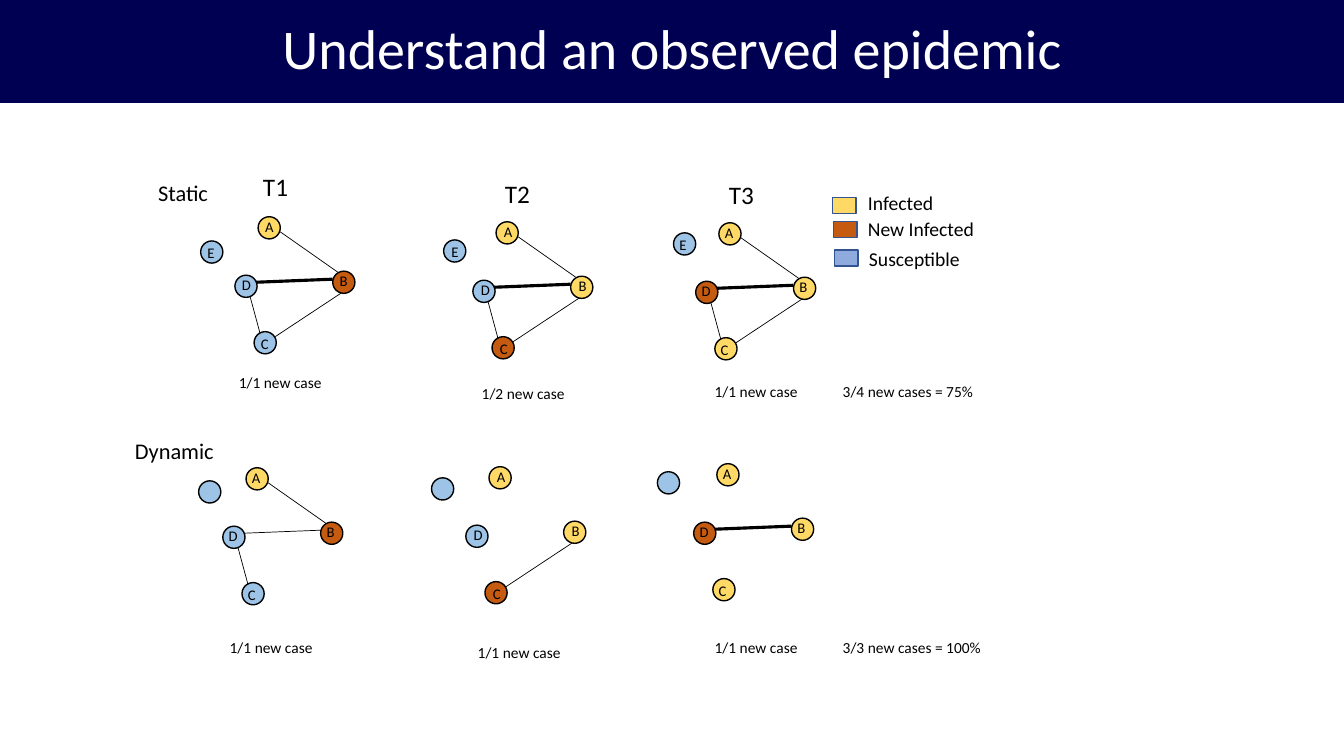
"""Build a slide comparing epidemic spread on static and dynamic networks."""
from lxml.etree import SubElement
from pptx import Presentation
from pptx.dml.color import RGBColor
from pptx.enum.shapes import MSO_CONNECTOR, MSO_SHAPE
from pptx.enum.text import MSO_ANCHOR, MSO_AUTO_SIZE, PP_ALIGN
from pptx.oxml.ns import qn
from pptx.util import Inches, Pt

FONT = "Calibri"
BLACK = RGBColor(0x00, 0x00, 0x00)
WHITE = RGBColor(0xFF, 0xFF, 0xFF)
NAVY = RGBColor(0x00, 0x00, 0x53)
INFECTED = RGBColor(0xFF, 0xD9, 0x66)
NEW_INFECTED = RGBColor(0xC5, 0x5A, 0x11)
SUSCEPTIBLE = RGBColor(0x9D, 0xC3, 0xE6)
LEGEND_BLUE = RGBColor(0x8F, 0xAA, 0xDC)
LEGEND_LINE = RGBColor(0x32, 0x54, 0x91)

NODE_SIZE = 0.22
NODE_OFFSETS = {"D": (0, 0), "A": (0.23, -0.58), "C": (0.19, 0.56), "B": (0.97, -0.04)}
LABEL_DROPS = {"A": -0.04, "B": -0.04, "C": -0.02, "D": -0.04, "E": -0.02}
EDGE_OFFSETS = {
    "BD": (0.97, 0.04, 0.21, 0.07),
    "AB": (0.45, -0.43, 1.02, -0.03),
    "BC": (1.05, 0.18, 0.4, 0.61),
    "CD": (0.25, 0.58, 0.15, 0.21),
}
THIN, THICK = 0.5, 2.25
STATIC_EDGES = {"BD": THICK, "AB": THIN, "BC": THIN, "CD": THIN}

# Each network: D position, E position, label shift, infected, newly infected, edges, E label
NETWORKS = [
    ((2.33, 2.73), (1.99, 2.39), -0.03, "A", "B", STATIC_EDGES, "E"),
    ((4.69, 2.78), (4.4, 2.38), -0.02, "AB", "C", STATIC_EDGES, "E"),
    ((6.9, 2.79), (6.68, 2.31), -0.04, "ABC", "D", STATIC_EDGES, "E"),
    ((2.21, 5.22), (1.97, 4.77), -0.04, "A", "B", {"BD": THIN, "AB": THIN, "CD": THIN}, ""),
    ((4.62, 5.21), (4.28, 4.74), -0.02, "AB", "C", {"BC": THIN}, ""),
    ((6.88, 5.18), (6.52, 4.68), -0.04, "ABC", "D", {"BD": THICK}, ""),
]
CAPTIONS = [
    ("Static", 1.47, 1.73, 0.7, 16),
    ("Dynamic", 1.24, 4.29, 0.99, 16),
    ("T1", 2.51, 1.65, 0.45, 18),
    ("T2", 4.91, 1.72, 0.45, 18),
    ("T3", 7.13, 1.73, 0.45, 18),
    ("1/1 new case", 2.27, 3.65, 1.03, 11),
    ("1/2 new case", 4.68, 3.76, 1.03, 11),
    ("1/1 new case", 6.99, 3.74, 1.03, 11),
    ("3/4 new cases = 75%", 8.26, 3.74, 1.51, 11),
    ("1/1 new case", 2.18, 6.28, 1.03, 11),
    ("1/1 new case", 4.64, 6.33, 1.03, 11),
    ("1/1 new case", 6.99, 6.28, 1.03, 11),
    ("3/3 new cases = 100%", 8.26, 6.28, 1.59, 11),
]
LEGEND = [
    ("Infected", INFECTED, (8.26, 1.96), (8.51, 1.84), 0.85),
    ("New Infected", NEW_INFECTED, (8.27, 2.2), (8.51, 2.1), 1.26),
    ("Susceptible", LEGEND_BLUE, (8.28, 2.48), (8.52, 2.4), 1.11),
]
TEXT_HEIGHTS = {10.5: 0.29, 11: 0.29, 14: 0.34, 16: 0.37, 18: 0.4}


def style_text(para, size, color):
    """Set the font of a paragraph."""
    para.font.name = FONT
    para.font.size = Pt(size)
    para.font.color.rgb = color


def add_title(page, text):
    """Fill the title placeholder as a full-width banner."""
    title = page.shapes.title
    title.left, title.top = Inches(0), Inches(-0.01)
    title.width, title.height = Inches(13.33), Inches(1.03)
    title.fill.solid()
    title.fill.fore_color.rgb = NAVY
    frame = title.text_frame
    frame.text = text
    frame.vertical_anchor = MSO_ANCHOR.MIDDLE
    frame.auto_size = MSO_AUTO_SIZE.NONE
    para = frame.paragraphs[0]
    para.alignment = PP_ALIGN.CENTER
    para.line_spacing = 0.9
    style_text(para, 40, WHITE)


def add_label(page, text, left, top, width, size):
    """Add a single-line text box."""
    box = page.shapes.add_textbox(
        Inches(left), Inches(top), Inches(width), Inches(TEXT_HEIGHTS[size]))
    frame = box.text_frame
    frame.word_wrap = False
    frame.auto_size = MSO_AUTO_SIZE.SHAPE_TO_FIT_TEXT
    frame.text = text
    style_text(frame.paragraphs[0], size, BLACK)


def add_filled(page, kind, left, top, width, height, fill, line):
    """Add a filled shape with a one-point outline."""
    shape = page.shapes.add_shape(
        kind, Inches(left), Inches(top), Inches(width), Inches(height))
    shape.shadow.inherit = False
    shape.fill.solid()
    shape.fill.fore_color.rgb = fill
    shape.line.color.rgb = line
    shape.line.width = Pt(1)


def add_edge(page, origin, name, weight):
    """Draw a contact between two people of a network."""
    x, y = origin
    x1, y1, x2, y2 = EDGE_OFFSETS[name]
    edge = page.shapes.add_connector(
        MSO_CONNECTOR.STRAIGHT,
        Inches(x + x1), Inches(y + y1), Inches(x + x2), Inches(y + y2))
    edge.line.color.rgb = BLACK
    edge.line.width = Pt(weight)
    SubElement(edge._element.spPr, qn("a:effectLst"))


def add_network(page, origin, isolated, shift, infected, newly, edges, isolated_label):
    """Draw the nodes, contacts and letters of one time step."""
    x, y = origin
    places = {name: (x + dx, y + dy) for name, (dx, dy) in NODE_OFFSETS.items()}
    places["E"] = isolated
    for left, top, fill in (
            (*place, INFECTED if name in infected else
             NEW_INFECTED if name in newly else SUSCEPTIBLE)
            for name, place in places.items()):
        add_filled(page, MSO_SHAPE.OVAL, left, top, NODE_SIZE, NODE_SIZE, fill, BLACK)
    for name, weight in edges.items():
        add_edge(page, origin, name, weight)
    for name in "ABCD" + isolated_label:
        left, top = places[name]
        width = 0.27 if name == "E" else 0.29
        add_label(page, name, left + shift, top + LABEL_DROPS[name], width, 10.5)


def add_legend(page):
    """Add the colour key."""
    for text, fill, swatch, label, width in LEGEND:
        add_filled(page, MSO_SHAPE.RECTANGLE, *swatch, 0.23, 0.16, fill, LEGEND_LINE)
        add_label(page, text, *label, width, 14)


def main():
    """Build and save the deck."""
    deck = Presentation()
    deck.slide_width, deck.slide_height = Inches(13.33), Inches(7.5)
    page = deck.slides.add_slide(deck.slide_layouts[5])
    add_title(page, "Understand an observed epidemic")
    for network in NETWORKS:
        add_network(page, *network)
    for caption in CAPTIONS:
        add_label(page, *caption)
    add_legend(page)
    deck.save("out.pptx")


if __name__ == "__main__":
    main()
